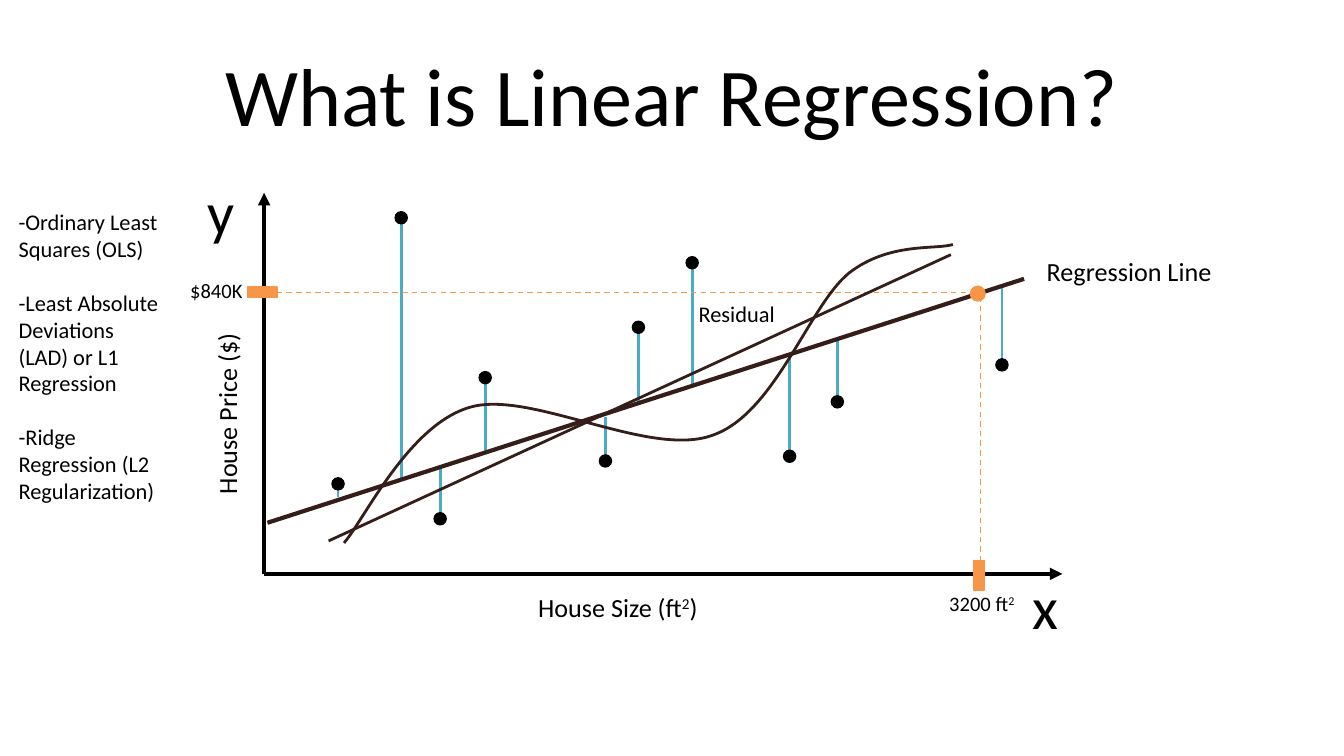
import pptx
import pptx.util
import pptx.dml.color
import pptx.enum.dml
import pptx.enum.shapes
import pptx.enum.text
import pptx.oxml
import pptx.oxml.ns
from lxml import etree

SCALE = 4572
BLACK, TEAL, BROWN, ORANGE = "000000", "4BACC6", "351D19", "F79646"
KIND = pptx.enum.shapes.MSO_SHAPE
ALIGN = pptx.enum.text.PP_ALIGN
ANCHOR = pptx.enum.text.MSO_ANCHOR
NOTES = [
    "-Ordinary Least Squares (OLS)",
    "-Least Absolute Deviations (LAD) or L1 Regression",
    "-Ridge Regression (L2 Regularization)",
]
POINTS = [
    (110, 433, 453), (262, 485, 409), (329, 275, 387), (508, 399, 333),
    (557, 200, 315), (637, 104, 287), (782, 392, 241), (853, 311, 219),
    (1098, 256, 139), (204, 37, 425),
]
CURVE = [
    (119, 521), (149, 487), (215, 345), (307, 319), (397, 293), (573, 395),
    (667, 361), (761, 329), (811, 167), (871, 119), (931, 73), (999, 85), (1025, 77),
]


def px(*sizes):
    """Turn px lengths into EMU."""
    return [pptx.util.Emu(size * SCALE) for size in sizes]


def paint(part, color):
    """Set a solid colour on a font, fill or line."""
    fill = part if hasattr(part, "solid") else part.fill
    fill.solid()
    fill.fore_color.rgb = pptx.dml.color.RGBColor.from_string(color)


def label(slide, box, paras, size, align=ALIGN.LEFT, anchor=ANCHOR.TOP, gap=0, turn=0):
    """Place paragraphs of text; a ^ sets what follows as superscript up to the next ^."""
    shape = slide.shapes.add_textbox(*px(*box))
    shape.rotation = turn
    frame = shape.text_frame
    frame.word_wrap = True
    frame.vertical_anchor = anchor
    frame.margin_left, frame.margin_right = px(20, 20)
    frame.margin_top, frame.margin_bottom = px(20, 20)
    for i, text in enumerate(paras):
        para = frame.paragraphs[0] if i == 0 else frame.add_paragraph()
        para.alignment = align
        if i:
            para.space_before = pptx.util.Pt(gap)
        para.font.name = "Calibri"
        para.font.size = pptx.util.Pt(size)
        paint(para.font, BLACK)
        for j, part in enumerate(text.split("^")):
            if part:
                run = para.add_run()
                run.text = part
                if j % 2:
                    run.font._element.set("baseline", "30000")


def line(slide, start, end, color, width, dash=False, arrow=False):
    """Draw a straight line, dashed or with an arrowhead if asked."""
    link = slide.shapes.add_connector(
        pptx.enum.shapes.MSO_CONNECTOR.STRAIGHT, *px(*start, *end))
    paint(link.line, color)
    link.line.width = pptx.util.Pt(width)
    if dash:
        link.line.dash_style = pptx.enum.dml.MSO_LINE.DASH
    if arrow:
        tail = etree.SubElement(link.line._get_or_add_ln(), pptx.oxml.ns.qn("a:tailEnd"))
        tail.set("type", "triangle")
    etree.SubElement(link._element.spPr, pptx.oxml.ns.qn("a:effectLst"))
    return link


def mark(slide, kind, box, color):
    """Place a filled shape."""
    shape = slide.shapes.add_shape(kind, *px(*box))
    shape.shadow.inherit = False
    paint(shape.fill, color)
    paint(shape.line, color)
    shape.line.width = pptx.util.Pt(0.75)
    return shape


def curve(slide, points, color, width):
    """Draw a chain of Bezier arcs through every third point."""
    form = slide.shapes.build_freeform(*points[0], scale=SCALE)
    form.add_line_segments(points[1:], close=False)
    shape = form.convert_to_shape()
    shape.shadow.inherit = False
    shape.fill.background()
    paint(shape.line, color)
    shape.line.width = pptx.util.Pt(width)
    steps = list(shape._element.iter(pptx.oxml.ns.qn("a:lnTo")))
    for i in range(0, len(steps), 3):
        arc = pptx.oxml.parse_xml(f"<a:cubicBezTo {pptx.oxml.ns.nsdecls('a')}/>")
        steps[i].addprevious(arc)
        for step in steps[i:i + 3]:
            arc.append(step[0])
            step.getparent().remove(step)


def title(slide, box):
    """Place the slide title."""
    label(slide, box, ["What is Linear Regression?"], 44, ALIGN.CENTER, ANCHOR.MIDDLE)


def notes(slide, box):
    """Place the list of methods."""
    label(slide, box, NOTES, 12, gap=14.4)


def plot(slide, box):
    """Draw the regression plot, with its axes on the left and bottom of the box."""
    left, top, wide, high = box

    def at(x, y, *size):
        """Shift a place into the box."""
        return (left + x, top + y, *size)

    for x, y, fit in POINTS:
        line(slide, at(x, y), at(x, fit), TEAL, 1.5)
    label(slide, at(627, 139, 180, 80), ["Residual"], 12)
    for end in ((0, 0), (wide, high)):
        line(slide, at(0, high), at(*end), BLACK, 2.25, arrow=True)
    label(slide, at(-116, -47, 104, 110), ["y"], 32, ALIGN.CENTER)
    label(slide, at(1111, 559, 104, 110), ["x"], 32, ALIGN.CENTER, ANCHOR.MIDDLE)
    for x, y, fit in POINTS:
        mark(slide, KIND.OVAL, at(x - 9, y - 9, 18, 18), BLACK)
    line(slide, at(5, 491), at(1131, 128), BROWN, 2.25)
    label(slide, at(1145, 73, 386, 82), ["Regression Line"], 14)
    label(slide, at(388, 573, 446, 82), ["House Size (ft^2^)"], 14)
    label(slide, at(-251, 234, 386, 82), ["House Price ($)"], 14, turn=270)

    mark(slide, KIND.RECTANGLE, at(1056, 547, 16, 44), ORANGE)
    label(slide, at(990, 589, 156, 44), ["3200 ft^2"], 11, ALIGN.CENTER, ANCHOR.MIDDLE)
    price = mark(slide, KIND.RECTANGLE, at(-25, 140, 44, 16), ORANGE)
    label(slide, at(-138, 123, 134, 44), ["$840K"], 11, ALIGN.CENTER, ANCHOR.MIDDLE)
    link = line(slide, at(19, 148), at(1065, 148), ORANGE, 0.75, dash=True)
    link.begin_connect(price, 3)
    line(slide, at(1066, 563), at(1066, 149), ORANGE, 0.75, dash=True)
    mark(slide, KIND.OVAL, at(1051, 139, 22, 22), ORANGE)

    line(slide, at(96, 518), at(1022, 92), BROWN, 1.5)
    curve(slide, [at(*point) for point in CURVE], BROWN, 1.5)


def main():
    """Build and save the slide."""
    deck = pptx.Presentation()
    deck.slide_width, deck.slide_height = px(2000, 1125)
    slide = deck.slides.add_slide(deck.slide_layouts[6])
    title(slide, (100, 46, 1800, 188))
    plot(slide, (393, 287, 1188, 567))
    notes(slide, (8, 290, 252, 514))
    deck.save("out.pptx")


if __name__ == "__main__":
    main()
